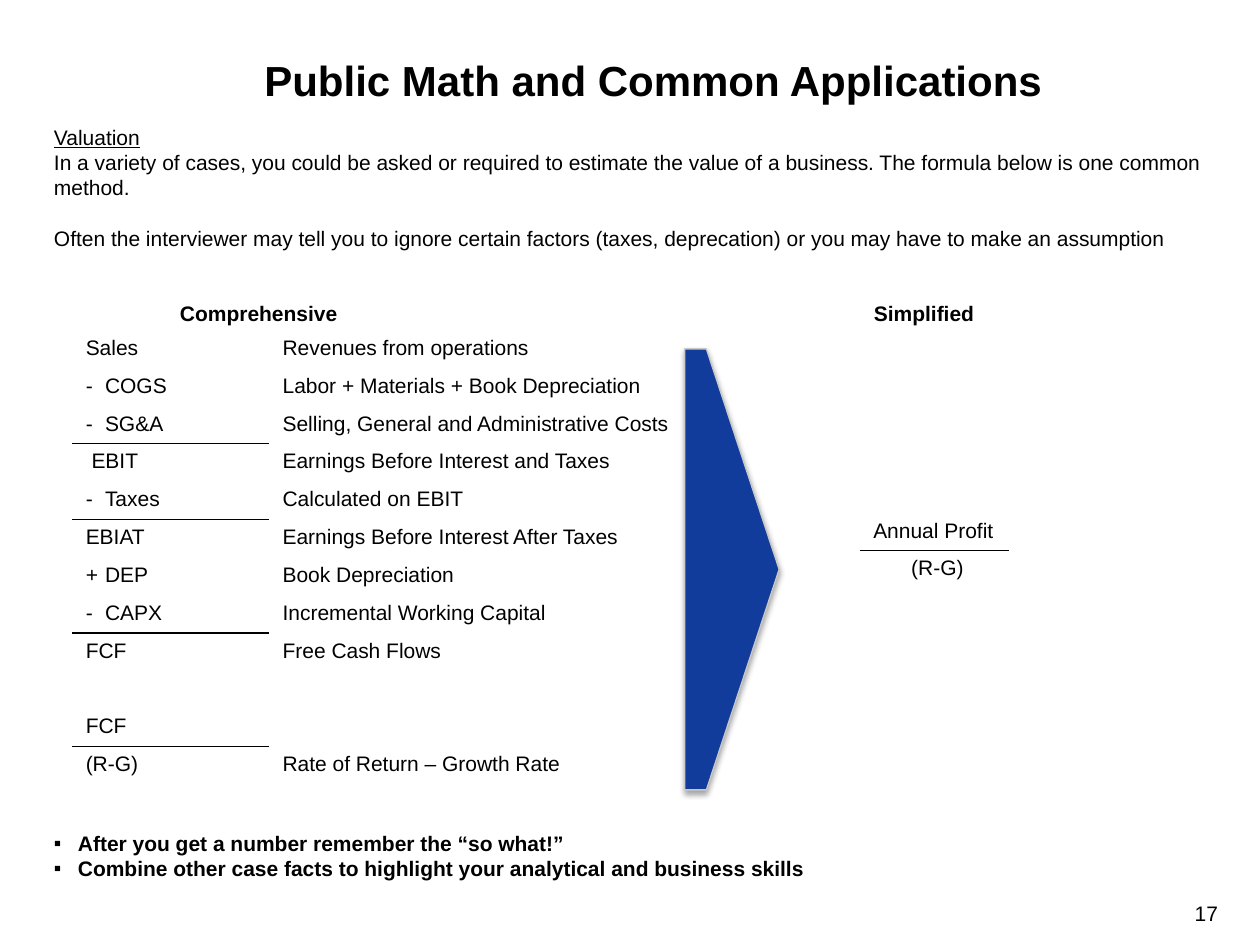
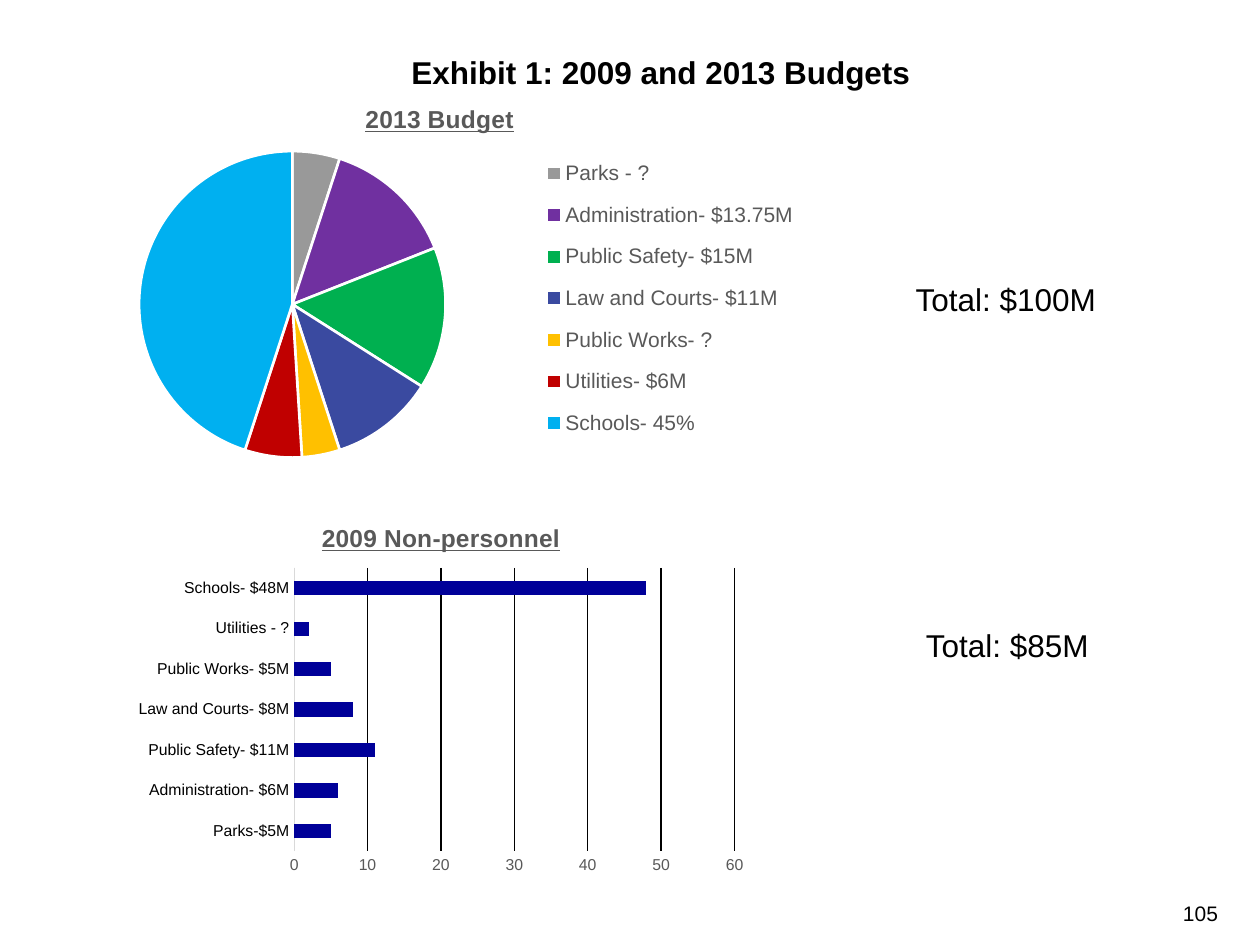
"""Build two case-interview slides: a valuation method and a budget exhibit."""
from dataclasses import dataclass

from lxml.etree import SubElement
from pptx import Presentation
from pptx.chart.data import CategoryChartData
from pptx.dml.color import RGBColor
from pptx.enum.chart import XL_CHART_TYPE, XL_LEGEND_POSITION, XL_TICK_MARK
from pptx.enum.shapes import MSO_SHAPE
from pptx.enum.text import PP_ALIGN
from pptx.oxml import parse_xml
from pptx.oxml.ns import nsdecls, qn
from pptx.util import Pt


@dataclass(frozen=True)
class Theme:
    """Colours, type sizes and font shared by the slides."""
    font: str = "Arial"
    ink: str = "000000"
    paper: str = "FFFFFF"
    grey: str = "595959"
    axis: str = "D9D9D9"
    arrow: str = "113C9B"
    arrow_edge: str = "C8C8C8"
    bar: str = "000099"
    slices: tuple = ("999999", "7030A0", "00B050", "3A4AA0",
                     "FFC000", "C00000", "00B0F0")
    title: int = 24
    heading: int = 18
    chart_title: int = 14
    body: int = 12
    chart: int = 10
    label: int = 9


def color(code):
    """Turn a hex code into a colour."""
    return RGBColor.from_string(code)


class Builder:
    """Holds the theme and the current slide and draws each kind of element."""

    def __init__(self, deck, theme):
        """Keep the deck and theme."""
        self.deck, self.theme, self.page = deck, theme, None

    def start(self, number):
        """Add a blank slide with its page number."""
        self.page = self.deck.slides.add_slide(self.deck.slide_layouts[6])
        box = self.text((666, 514.8, 30, 18), str(number), align=PP_ALIGN.RIGHT)
        frame = box.text_frame
        frame.margin_left = frame.margin_right = 0
        frame.margin_top = frame.margin_bottom = 0

    def style(self, font, size, bold=False, underline=False, ink=None):
        """Apply the theme font."""
        font.name, font.size = self.theme.font, Pt(size)
        font.bold, font.underline = bold, underline
        font.color.rgb = color(ink or self.theme.ink)

    def format(self, para, size=None, align=None, **looks):
        """Format every run of a paragraph."""
        para.alignment = align
        for span in para.runs:
            self.style(span.font, size or self.theme.body, **looks)

    def text(self, place, words, **looks):
        """Add a wrapping text box."""
        box = self.page.shapes.add_textbox(*map(Pt, place))
        box.text_frame.word_wrap = True
        box.text_frame.text = words
        for para in box.text_frame.paragraphs:
            self.format(para, **looks)
        return box

    def bullet(self, para, sign, indent):
        """Give a paragraph a hanging bullet."""
        props = para._p.get_or_add_pPr()
        props.set("marL", str(Pt(indent)))
        props.set("indent", str(-Pt(indent)))
        SubElement(props, qn("a:buFont"), typeface=self.theme.font)
        SubElement(props, qn("a:buChar"), char=sign)

    def tabs(self, para, *stops):
        """Set left tab stops."""
        tab_list = SubElement(para._p.get_or_add_pPr(), qn("a:tabLst"))
        for stop in stops:
            SubElement(tab_list, qn("a:tab"), pos=str(Pt(stop)), algn="l")

    def border(self, cell, sides):
        """Draw cell borders; sides maps an edge tag to a colour."""
        props = cell._tc.get_or_add_tcPr()
        for index, (side, code) in enumerate(sides.items()):
            props.insert(index, parse_xml(
                f'<a:{side} {nsdecls("a")} w="{Pt(1)}"><a:solidFill>'
                f'<a:srgbClr val="{code}"/></a:solidFill></a:{side}>'))

    def table(self, left, top, widths, row_height, rows, ruled):
        """Add a white table with a rule below the first cell of ruled rows."""
        theme = self.theme
        frame = self.page.shapes.add_table(
            len(rows), len(widths), Pt(left), Pt(top),
            Pt(sum(widths)), Pt(row_height * len(rows)))
        table = frame.table
        table.first_row = table.horz_banding = False
        for column, width in zip(table.columns, widths):
            column.width = Pt(width)
        for r, row in enumerate(rows):
            table.rows[r].height = Pt(row_height)
            for c, words in enumerate(row):
                cell = table.cell(r, c)
                cell.fill.solid()
                cell.fill.fore_color.rgb = color(theme.paper)
                above = theme.ink if c == 0 and r - 1 in ruled else theme.paper
                below = theme.ink if c == 0 and r in ruled else theme.paper
                self.border(cell, {"lnL": theme.paper, "lnR": theme.paper,
                                   "lnT": above, "lnB": below})
                cell.text = words
                para = cell.text_frame.paragraphs[0]
                self.format(para)
                if "\t" in words:
                    self.tabs(para, 11)
                if not words:
                    SubElement(para._p, qn("a:endParaRPr"),
                               sz=str(theme.body * 100))
        return table

    def indent(self, cell, points):
        """Indent the text of a cell."""
        props = cell.text_frame.paragraphs[0]._p.get_or_add_pPr()
        props.set("marL", str(Pt(points)))

    def arrow(self, place):
        """Add the shaded pentagon arrow."""
        shape = self.page.shapes.add_shape(MSO_SHAPE.PENTAGON, *map(Pt, place))
        shape.adjustments[0] = 0.77
        shape.fill.solid()
        shape.fill.fore_color.rgb = color(self.theme.arrow)
        shape.line.color.rgb = color(self.theme.arrow_edge)
        shape.line.width = Pt(0.75)
        shape.shadow.inherit = False
        effects = shape._element.spPr.find(qn("a:effectLst"))
        effects.append(parse_xml(
            f'<a:outerShdw {nsdecls("a")} blurRad="{Pt(3.1)}" dist="{Pt(1.8)}" '
            f'dir="5400000" rotWithShape="0"><a:srgbClr val="{self.theme.ink}">'
            '<a:alpha val="35000"/></a:srgbClr></a:outerShdw>'))

    def chart(self, kind, place, title, points):
        """Add a one-series chart with an underlined title."""
        data = CategoryChartData()
        data.categories = [name for name, _ in points]
        data.add_series("Series 1", [value for _, value in points])
        chart = self.page.shapes.add_chart(kind, *map(Pt, place), data).chart
        self.style(chart.font, self.theme.chart)
        chart.has_legend = False
        chart.has_title = True
        frame = chart.chart_title.text_frame
        frame.text = title
        self.format(frame.paragraphs[0], size=self.theme.chart_title,
                    bold=True, underline=True, ink=self.theme.grey)
        chart.chart_title.include_in_layout = False
        return chart

    def layout(self, x, y, width, height, inner=False):
        """Return a manual chart layout element."""
        target = '<c:layoutTarget val="inner"/>' if inner else ""
        sizes = "".join(f'<c:{tag} val="{value}"/>' for tag, value in
                        zip("xywh", (x, y, width, height)))
        return parse_xml(
            f'<c:layout {nsdecls("c")}><c:manualLayout>{target}'
            '<c:xMode val="edge"/><c:yMode val="edge"/>'
            f'{sizes}</c:manualLayout></c:layout>')

    def pie(self, place, title, points):
        """Add a pie chart with a legend at the right."""
        theme = self.theme
        chart = self.chart(XL_CHART_TYPE.PIE, place, title, points)
        plot_area = chart._chartSpace.chart.plotArea
        for old in plot_area.findall(qn("c:layout")):
            plot_area.remove(old)
        plot_area.insert(0, self.layout(0.08, 0.17, 0.47, 0.78, inner=True))
        for index, code in enumerate(theme.slices):
            piece = chart.plots[0].series[0].points[index].format
            piece.fill.solid()
            piece.fill.fore_color.rgb = color(code)
            piece.line.color.rgb = color(theme.paper)
            piece.line.width = Pt(1.5)
        chart.has_legend = True
        legend = chart.legend
        legend.position = XL_LEGEND_POSITION.RIGHT
        legend.include_in_layout = False
        self.style(legend.font, theme.body, ink=theme.grey)
        for old in legend._element.findall(qn("c:layout")):
            legend._element.remove(old)
        overlay = legend._element.find(qn("c:overlay"))
        overlay.addprevious(self.layout(0.62, 0.15, 0.34, 0.79))

    def bars(self, place, title, points):
        """Add a horizontal bar chart."""
        theme = self.theme
        chart = self.chart(XL_CHART_TYPE.BAR_CLUSTERED, place, title, points)
        plot = chart.plots[0]
        plot.gap_width, plot.vary_by_categories = 182, False
        fill = plot.series[0].format.fill
        fill.solid()
        fill.fore_color.rgb = color(theme.bar)
        names, values = chart.category_axis, chart.value_axis
        for axis, ink in ((names, theme.ink), (values, theme.grey)):
            axis.major_tick_mark = axis.minor_tick_mark = XL_TICK_MARK.NONE
            self.style(axis.tick_labels.font, theme.label, ink=ink)
        names.format.line.color.rgb = color(theme.axis)
        names.format.line.width = Pt(0.75)
        values.format.line.fill.background()
        values.minimum_scale, values.maximum_scale = 0, 60
        values.major_unit = 10
        values.has_major_gridlines = True
        values.major_gridlines.format.line.color.rgb = color(theme.ink)
        values.major_gridlines.format.line.width = Pt(0.75)


def valuation(builder):
    """Draw the valuation slide."""
    builder.start(17)
    box = builder.text((23.76, 67.7, 680.4, 460), "\n".join((
        "Valuation",
        "In a variety of cases, you could be asked or required to estimate the "
        "value of a business. The formula below is one common method.",
        "Often the interviewer may tell you to ignore certain factors (taxes, "
        "deprecation) or you may have to make an assumption",
        "\tComprehensive\tSimplified",
        "After you get a number remember the “so what!”",
        "Combine other case facts to highlight your analytical and business "
        "skills")))
    heading, _, hint, columns, *takeaways = box.text_frame.paragraphs
    builder.format(heading, underline=True)
    hint.space_before = Pt(14.4)
    columns.space_before = Pt(28.8)
    builder.tabs(columns, 72, 468.5)
    takeaways[0].space_before = Pt(288)
    for para in takeaways:
        builder.bullet(para, "▪", 13.7)
    for para in (columns, *takeaways):
        builder.format(para, bold=True)
    builder.text((144, 27.4, 468, 36.7), "Public Math and Common Applications",
                 size=builder.theme.title, bold=True)
    steps = builder.table(41.8, 188.6, (112.5, 530), 21.6, (
        ("Sales", "Revenues from operations"),
        ("-\tCOGS", "Labor + Materials + Book Depreciation"),
        ("-\tSG&A", "Selling, General and Administrative Costs"),
        ("EBIT", "Earnings Before Interest and Taxes"),
        ("-\tTaxes", "Calculated on EBIT"),
        ("EBIAT", "Earnings Before Interest After Taxes"),
        ("+\tDEP", "Book Depreciation"),
        ("-\tCAPX", "Incremental Working Capital"),
        ("FCF", "Free Cash Flows"),
        ("", ""),
        ("FCF", ""),
        ("(R-G)", "Rate of Return – Growth Rate"),
        ("", "")), ruled=(2, 4, 7, 10))
    builder.indent(steps.cell(3, 0), 3.3)
    ratio = builder.table(491.8, 293, (84.5,), 21.6,
                          (("Annual Profit",), ("(R-G)",)), ruled=(0,))
    divisor = ratio.cell(1, 0)
    divisor.text_frame.paragraphs[0].alignment = PP_ALIGN.CENTER
    builder.indent(divisor, 3.3)
    builder.arrow((391.2, 199.4, 54, 252))


def budgets(builder):
    """Draw the budget exhibit slide."""
    heading = builder.theme.heading
    builder.start(105)
    builder.pie((23.76, 48.2, 455, 224.6), "2013 Budget", (
        ("Parks - ?", 5), ("Administration- $13.75M", 14),
        ("Public Safety- $15M", 15), ("Law and Courts- $11M", 11),
        ("Public Works- ?", 4), ("Utilities- $6M", 6), ("Schools- 45%", 45)))
    builder.bars((72, 288, 360, 216), "2009 Non-personnel", (
        ("Parks-$5M", 5), ("Administration- $6M", 6),
        ("Public Safety- $11M", 11), ("Law and Courts- $8M", 8),
        ("Public Works- $5M", 5), ("Utilities - ?", 2), ("Schools- $48M", 48)))
    builder.text((522, 354.2, 198, 29), "Total: $85M", size=heading)
    builder.text((516.2, 156.2, 203.8, 29), "Total: $100M", size=heading)
    builder.text((160.6, 26.6, 434.2, 29), "Exhibit 1: 2009 and 2013 Budgets",
                 size=heading, bold=True, align=PP_ALIGN.CENTER)


def main():
    """Build and save the deck."""
    deck = Presentation()
    deck.slide_width, deck.slide_height = Pt(720), Pt(540)
    builder = Builder(deck, Theme())
    valuation(builder)
    budgets(builder)
    deck.save("out.pptx")


if __name__ == "__main__":
    main()
